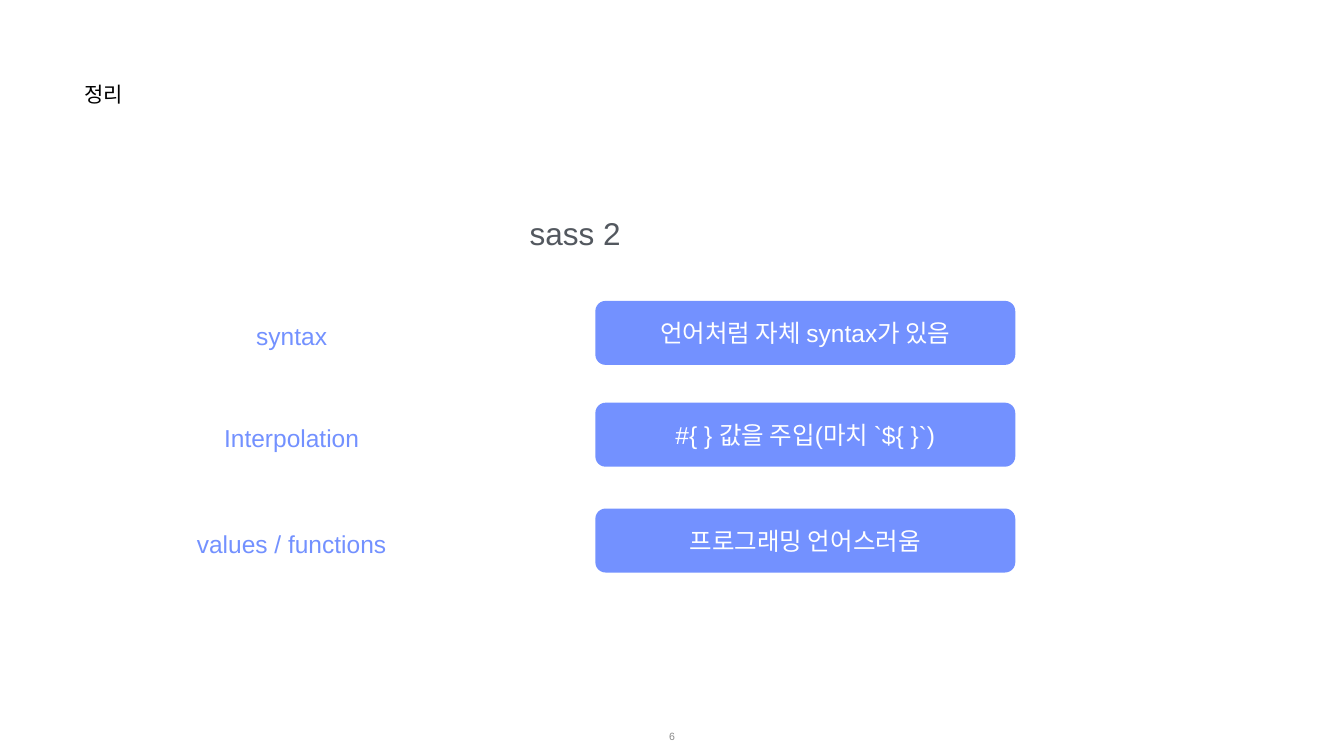
from pptx import Presentation
from pptx.dml.color import RGBColor
from pptx.enum import shapes, text
from pptx.util import Inches, Pt

BLUE, WHITE = "7391FF", "FFFFFF"


def color(value):
    return RGBColor.from_string(value)


def write(shape, words, size, hex_color, align=text.PP_ALIGN.CENTER,
          anchor=text.MSO_ANCHOR.MIDDLE):
    frame = shape.text_frame
    frame.word_wrap = True
    frame.auto_size = text.MSO_AUTO_SIZE.NONE
    frame.vertical_anchor = anchor
    frame.margin_left = frame.margin_right = Inches(0.01)
    frame.margin_top = frame.margin_bottom = Inches(0.01)
    paragraph = frame.paragraphs[0]
    paragraph.alignment = align
    run = paragraph.add_run()
    run.text = words
    run.font.name = "Arial"
    run.font.size = Pt(size)
    run.font.color.rgb = color(hex_color)


presentation = Presentation()
presentation.slide_width = Inches(26.66)
presentation.slide_height = Inches(15)
slide = presentation.slides.add_slide(presentation.slide_layouts[5])

title = slide.shapes.title
title.left, title.top = Inches(1.67), Inches(1.6)
title.width, title.height = Inches(4.86), Inches(1.18)
write(title, "정리", 30, "000000", text.PP_ALIGN.LEFT, text.MSO_ANCHOR.TOP)

heading = slide.shapes.add_textbox(Inches(2.64), Inches(4.24), Inches(17.54), Inches(0.79))
write(heading, "sass 2", 45, "53585F", anchor=text.MSO_ANCHOR.TOP)

topics = [
    (5.97, "syntax", "언어처럼 자체 syntax가 있음"),
    (7.99, "Interpolation", "#{ } 값을 주입(마치 `${ }`)"),
    (10.09, "values / functions", "프로그래밍 언어스러움"),
]
for top, topic, summary in topics:
    label = slide.shapes.add_textbox(Inches(2.66), Inches(top + 0.38), Inches(6.25), Inches(0.62))
    write(label, topic, 35, BLUE)

    card = slide.shapes.add_shape(shapes.MSO_SHAPE.ROUNDED_RECTANGLE, Inches(11.81),
                                  Inches(top), Inches(8.33), Inches(1.27))
    card.adjustments[0] = 0.16
    card.shadow.inherit = False
    card.fill.solid()
    card.fill.fore_color.rgb = color(BLUE)
    card.line.fill.background()
    write(card, summary, 35, WHITE)

page_number = slide.shapes.add_textbox(Inches(10.33), Inches(14.21), Inches(6), Inches(0.79))
write(page_number, "6", 15, "888888")

presentation.save("out.pptx")
